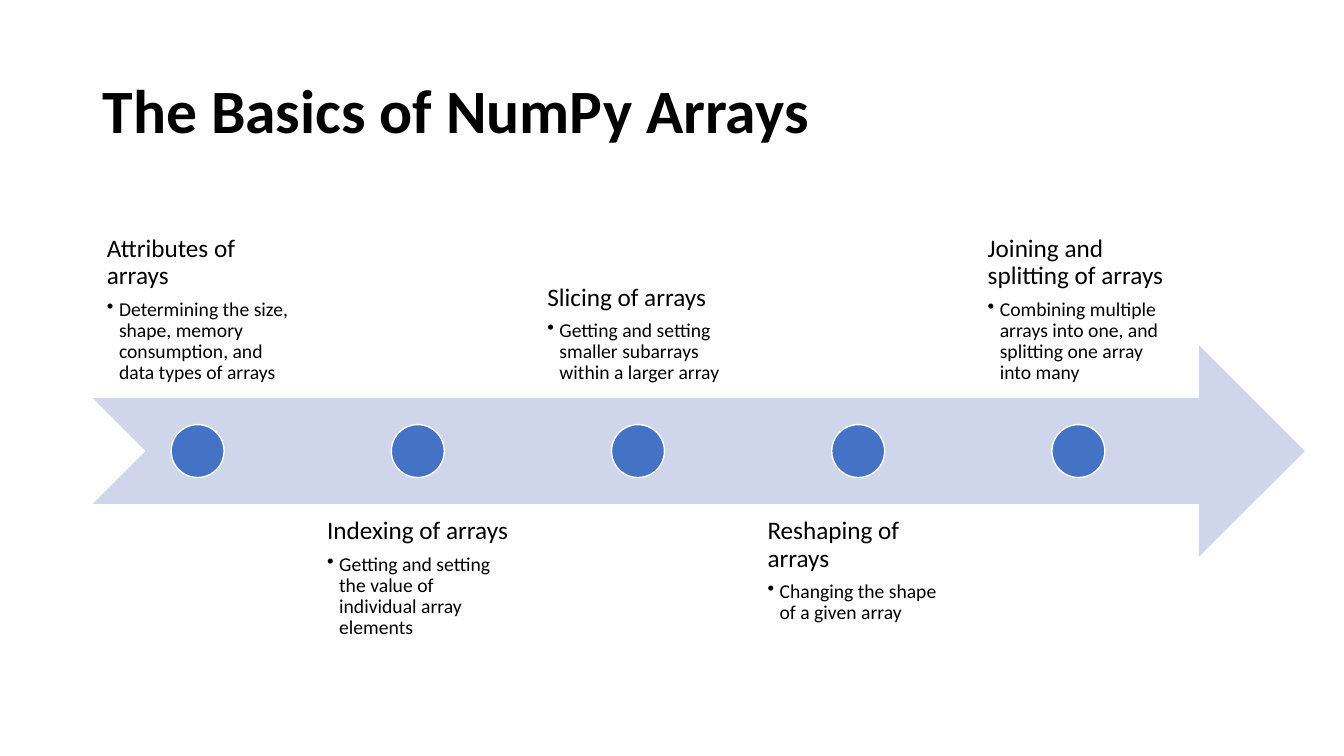
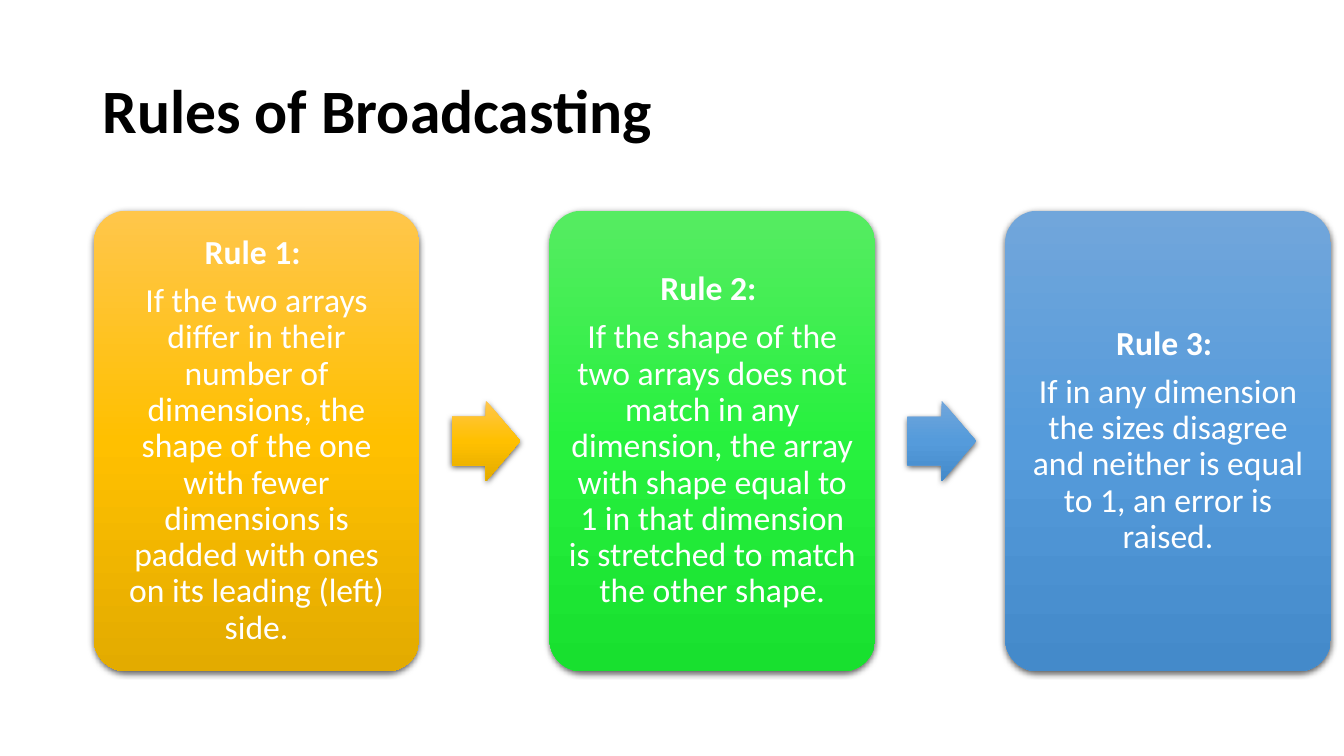
from copy import deepcopy
from dataclasses import dataclass
from typing import NamedTuple

from lxml import etree
from pptx import Presentation
from pptx.dml.color import RGBColor
from pptx.enum.shapes import MSO_SHAPE
from pptx.enum.text import MSO_ANCHOR, PP_ALIGN
from pptx.oxml.ns import qn
from pptx.util import Inches, Pt

BAND = MSO_SHAPE.NOTCHED_RIGHT_ARROW
DOT = MSO_SHAPE.OVAL
CARD = MSO_SHAPE.ROUNDED_RECTANGLE
ARROW = MSO_SHAPE.RIGHT_ARROW
TOP, MIDDLE, BOTTOM = MSO_ANCHOR.TOP, MSO_ANCHOR.MIDDLE, MSO_ANCHOR.BOTTOM
LEFT, CENTER = PP_ALIGN.LEFT, PP_ALIGN.CENTER


class Box(NamedTuple):
    left: float
    top: float
    width: float
    height: float

    def inches(self):
        return [Inches(side) for side in self]


@dataclass(frozen=True)
class Theme:
    font: str = "Calibri"
    ink: str = "000000"
    white: str = "FFFFFF"
    band: str = "CFD5EA"
    dot: str = "4472C4"
    gold: tuple = ("FFC64B", "FFC000", "E3AB00")
    green: tuple = ("56EC62", "27F13E", "18E02F")
    blue: tuple = ("71A6DB", "559BDB", "448ACA")
    title: int = 44
    rule: int = 24
    head: int = 18
    note: int = 14
    leading: float = 0.9


THEME = Theme()
TITLE = Box(0.92, 0.4, 11.5, 1.45)
TIMELINE = Box(0.92, 1.85, 12.02, 5.25)
RULES = Box(0.93, 2.09, 12.27, 4.57)

TOPICS = [
    ("Attributes of arrays",
     "Determining the size, shape, memory consumption, and data types of arrays"),
    ("Indexing of arrays",
     "Getting and setting the value of individual array elements"),
    ("Slicing of arrays",
     "Getting and setting smaller subarrays within a larger array"),
    ("Reshaping of arrays",
     "Changing the shape of a given array"),
    ("Joining and splitting of arrays",
     "Combining multiple arrays into one, and splitting one array into many"),
]
# Heading, text, card colours, colours of the arrow that follows
STEPS = [
    ("Rule 1: ",
     "If the two arrays differ in their number of dimensions, the shape of the one "
     "with fewer dimensions is padded with ones on its leading (left) side.",
     THEME.gold, THEME.gold),
    ("Rule 2: ",
     "If the shape of the two arrays does not match in any dimension, the array with "
     "shape equal to 1 in that dimension is stretched to match the other shape.",
     THEME.green, THEME.blue),
    ("Rule 3: ",
     "If in any dimension the sizes disagree and neither is equal to 1, an error is raised.",
     THEME.blue, None),
]


# Text helpers
def set_frame(shape, anchor, inset=None):
    frame = shape.text_frame
    frame.word_wrap = True
    frame.vertical_anchor = anchor
    if inset is not None:
        frame.margin_left = frame.margin_right = Inches(inset)
        frame.margin_top = frame.margin_bottom = Inches(inset)
    return frame


def style(para, size, color, bold=False, align=LEFT, after=0):
    """Format one paragraph; after is a share of the type size."""
    para.alignment = align
    para.line_spacing = THEME.leading
    para.space_after = Pt(round(size * after, 1))
    for run in para.runs:
        run.font.name = THEME.font
        run.font.size = Pt(size)
        run.font.bold = bold
        run.font.color.rgb = RGBColor.from_string(color)


def add_bullet(para, indent):
    para.level = 1
    props = para._p.get_or_add_pPr()
    props.set("marL", str(Inches(indent)))
    props.set("indent", str(-Inches(indent)))
    etree.SubElement(props, qn("a:buChar"), char="•")


# Shape helpers
def add_flat(slide, kind, box, color, line=None):
    shape = slide.shapes.add_shape(kind, *box.inches())
    shape.shadow.inherit = False
    shape.fill.solid()
    shape.fill.fore_color.rgb = RGBColor.from_string(color)
    if line:
        shape.line.color.rgb = RGBColor.from_string(line)
        shape.line.width = Pt(1)
    else:
        shape.line.fill.background()
    return shape


def add_glossy(slide, kind, box, colors, adjust):
    """Add a shape with a downward gradient and a soft shadow."""
    shape = add_flat(slide, kind, box, colors[1])
    for index, value in enumerate(adjust):
        shape.adjustments[index] = value

    # Gradient with a third stop
    shape.fill.gradient()
    shape.fill.gradient_angle = 270
    props = shape._element.spPr
    stops = props.find(qn("a:gradFill")).find(qn("a:gsLst"))
    stops.append(deepcopy(stops[-1]))
    for index, (stop, color) in enumerate(zip(shape.fill.gradient_stops, colors)):
        stop.position = index / 2
        stop.color.rgb = RGBColor.from_string(color)

    # Shadow
    cast = etree.SubElement(
        props.find(qn("a:effectLst")), qn("a:outerShdw"), blurRad=str(Pt(4.5)),
        dist=str(Pt(1.5)), dir="5400000", algn="ctr", rotWithShape="0")
    tint = etree.SubElement(cast, qn("a:srgbClr"), val=THEME.ink)
    etree.SubElement(tint, qn("a:alpha"), val="63000")
    return shape


# Regions
def add_title(slide, box, text):
    frame = set_frame(slide.shapes.add_textbox(*box.inches()), MIDDLE)
    frame.text = text
    style(frame.paragraphs[0], THEME.title, THEME.ink, bold=True)


def add_topic(slide, box, anchor, head, note):
    frame = set_frame(slide.shapes.add_textbox(*box.inches()), anchor, 0.14)
    frame.text = f"{head}\n{note}"
    first, second = frame.paragraphs
    style(first, THEME.head, THEME.ink, after=0.35)
    style(second, THEME.note, THEME.ink, after=0.15)
    add_bullet(second, 0.12)


def add_timeline(slide, box, topics):
    """Topics alternate above and below a band that is 40% of the height."""
    tall = box.height * 0.4
    wide = 2.08
    pitch = wide * 1.05
    size = tall / 4
    center = box.top + box.height / 2
    add_flat(slide, BAND, Box(box.left, center - tall / 2, box.width, tall), THEME.band)
    for index, (head, note) in enumerate(topics):
        left = box.left + index * pitch
        below = index % 2
        top = box.top + below * (box.height - tall)
        add_topic(slide, Box(left, top, wide, tall), TOP if below else BOTTOM, head, note)
        spot = Box(left + (wide - size) / 2, center - size / 2, size, size)
        add_flat(slide, DOT, spot, THEME.dot, THEME.white)


def add_card(slide, box, head, text, colors):
    card = add_glossy(slide, CARD, box, colors, [0.1])
    frame = set_frame(card, MIDDLE, 0.1)
    frame.text = f"{head}\n{text}"
    for para, bold in zip(frame.paragraphs, (True, False)):
        style(para, THEME.rule, THEME.white, bold, CENTER, 0.35)


def add_rules(slide, box, steps):
    """Equal cards, with an arrow in each gap."""
    wide = 3.23
    pitch = (box.width - wide) / (len(steps) - 1)
    span, tall = 0.68, 0.8
    for index, (head, text, colors, follow) in enumerate(steps):
        left = box.left + index * pitch
        add_card(slide, Box(left, box.top, wide, box.height), head, text, colors)
        if follow:
            middle = box.top + (box.height - tall) / 2
            spot = Box(left + wide + 0.32, middle, span, tall)
            add_glossy(slide, ARROW, spot, follow, [0.6, 0.5])


def main():
    deck = Presentation()
    deck.slide_width, deck.slide_height = Inches(13.33), Inches(7.5)
    pages = [
        ("The Basics of NumPy Arrays", add_timeline, TIMELINE, TOPICS),
        ("Rules of Broadcasting", add_rules, RULES, STEPS),
    ]
    for title, build, box, items in pages:
        slide = deck.slides.add_slide(deck.slide_layouts[6])
        add_title(slide, TITLE, title)
        build(slide, box, items)
    deck.save("out.pptx")


if __name__ == "__main__":
    main()
